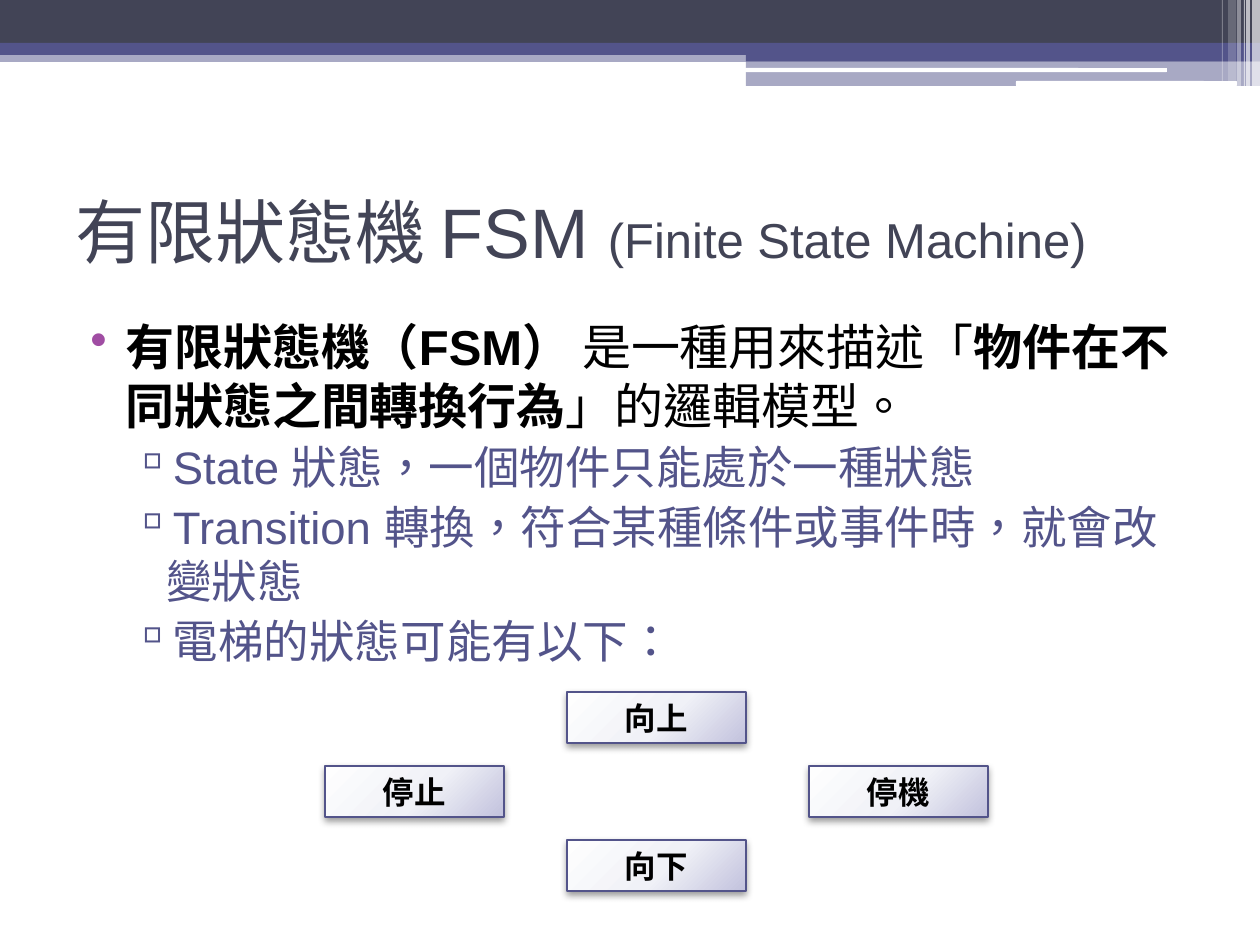
import pptx
import pptx.util
import pptx.dml.color
import pptx.enum.lang
import pptx.enum.shapes
import pptx.enum.text
import pptx.oxml
import pptx.oxml.ns

COLORS = {"white": "FFFFFF", "slate": "424456", "indigo": "53548A",
          "purple": "A04DA3", "black": "000000"}

# left, top, width, height, colour, opacity in percent
BARS = [
    (0, 50, 1260, 12, "indigo", 50),
    (0, 0, 1260, 43, "slate", 100),
    (0, 43, 1260, 12, "indigo", 100),
    (746, 49, 514, 12, "indigo", 100),
    (746, 61, 514, 25, "indigo", 50),
]
PILLS = [(745, 68, 422, 4, "white", 100), (1016, 81, 221, 5, "white", 100)]
# left, width, height, opacity in percent
STRIPES = [(1252, 8, 86, 65), (1246, 4, 86, 65), (1244, 1, 86, 60),
           (1237, 4, 86, 40), (1228, 8, 81, 20), (1222, 1, 81, 30)]

TITLE = [("有限狀態機 FSM ", {"size": 40}), ("(Finite State Machine)", {"size": 28})]
BODY = [
    (0, [("有限狀態機（FSM）", True), (" 是一種用來描述「", False),
         ("物件在不同狀態之間轉換行為", True), ("」的邏輯模型。", False)]),
    (1, [("State 狀態，一個物件只能處於一種狀態", False)]),
    (1, [("Transition 轉換，符合某種條件或事件時，就會改變狀態", False)]),
    (1, [("電梯的狀態可能有以下：", False)]),
]
LEVELS = [
    {"indent": 50, "hang": 35, "bullet": "•", "bullet_color": "purple",
     "size": 28, "color": "black"},
    {"indent": 91, "hang": 34, "bullet": "▫", "bullet_color": "indigo",
     "size": 26, "color": "indigo"},
]
# label, column, row
STATES = [("停止", 0, 1), ("向上", 1, 0), ("向下", 1, 2), ("停機", 2, 1)]
STATE_LEFT, STATE_TOP, STATE_WIDTH, STATE_HEIGHT = 325, 692, 179, 51
COLUMN_STEP, ROW_STEP = 242, 74
STATE_STOPS = [(0, "FEFEFE"), (55, "F0F1F7"), (100, "C2C2DD")]


def px(value):
    return pptx.util.Emu(round(value * 914400 / 126))


def rgb(name):
    return pptx.dml.color.RGBColor.from_string(COLORS[name])


def xml(markup):
    """Parse a drawing element, declaring its namespace after the tag name."""
    tag, rest = markup.split(" ", 1)
    return pptx.oxml.parse_xml(f"{tag} {pptx.oxml.ns.nsdecls('a')} {rest}")


def add_block(page, kind, left, top, width, height, color, opacity=100):
    block = page.shapes.add_shape(kind, px(left), px(top), px(width), px(height))
    block.shadow.inherit = False
    block.line.fill.background()
    block.fill.solid()
    block.fill.fore_color.rgb = rgb(color)
    if opacity < 100:
        value = block.fill._xPr.find(".//" + pptx.oxml.ns.qn("a:srgbClr"))
        value.append(xml(f'<a:alpha val="{opacity * 1000}"/>'))
    return block


def add_span(para, text, color, **formats):
    span = para.add_run()
    span.text = text
    span.font.color.rgb = rgb(color)
    formats["size"] = pptx.util.Pt(formats["size"])
    formats["name"] = "Arial"
    formats["language_id"] = pptx.enum.lang.MSO_LANGUAGE_ID.TRADITIONAL_CHINESE
    for name, value in formats.items():
        setattr(span.font, name, value)


def set_frame(frame, anchor):
    formats = {"word_wrap": True, "vertical_anchor": anchor,
               "auto_size": pptx.enum.text.MSO_AUTO_SIZE.NONE}
    for name, value in formats.items():
        setattr(frame, name, value)


def add_decoration(page):
    kinds = pptx.enum.shapes.MSO_SHAPE
    for bar in BARS:
        add_block(page, kinds.RECTANGLE, *bar)
    for pill in PILLS:
        add_block(page, kinds.ROUNDED_RECTANGLE, *pill)
    for left, width, height, opacity in STRIPES:
        add_block(page, kinds.RECTANGLE, left, 0, width, height, "white", opacity)


def fill_title(page):
    title = page.shapes.title
    place = {"left": 63, "top": 157, "width": 1134, "height": 148}
    for name, value in place.items():
        setattr(title, name, px(value))
    set_frame(title.text_frame, pptx.enum.text.MSO_ANCHOR.MIDDLE)
    para = title.text_frame.paragraphs[0]
    para.alignment = pptx.enum.text.PP_ALIGN.LEFT
    for text, formats in TITLE:
        add_span(para, text, "slate", **formats)


def add_body(page):
    box = page.shapes.add_textbox(px(63), px(310), px(1134), px(596))
    set_frame(box.text_frame, pptx.enum.text.MSO_ANCHOR.TOP)
    for index, (depth, spans) in enumerate(BODY):
        level = LEVELS[depth]
        para = box.text_frame.add_paragraph() if index else box.text_frame.paragraphs[0]
        para.level = depth
        if index:
            para.space_before = pptx.util.Pt(3)
        properties = para._p.get_or_add_pPr()
        properties.set("marL", str(px(level["indent"])))
        properties.set("indent", str(px(-level["hang"])))
        color = COLORS[level["bullet_color"]]
        properties.append(xml(f'<a:buClr ><a:srgbClr val="{color}"/></a:buClr>'))
        properties.append(xml(f'<a:buChar char="{level["bullet"]}"/>'))
        for text, bold in spans:
            add_span(para, text, level["color"], size=level["size"], bold=bold)


def add_state(page, label, column, row):
    box = add_block(page, pptx.enum.shapes.MSO_SHAPE.RECTANGLE,
                    STATE_LEFT + column * COLUMN_STEP, STATE_TOP + row * ROW_STEP,
                    STATE_WIDTH, STATE_HEIGHT, "white")
    stops = "".join(f'<a:gs pos="{position * 1000}"><a:srgbClr val="{color}"/></a:gs>'
                    for position, color in STATE_STOPS)
    gradient = xml(
        f'<a:gradFill rotWithShape="1"><a:gsLst>{stops}</a:gsLst><a:path path="circle">'
        '<a:fillToRect l="-40000" t="-90000" r="140000" b="190000"/></a:path></a:gradFill>')
    properties = box._element.spPr
    properties.replace(properties.find(pptx.oxml.ns.qn("a:solidFill")), gradient)
    box.line.color.rgb = rgb("indigo")
    box.line.width = pptx.util.Pt(0.75)
    properties.find(pptx.oxml.ns.qn("a:effectLst")).append(xml(
        '<a:outerShdw blurRad="52070" dist="25400" dir="5400000" rotWithShape="0">'
        f'<a:srgbClr val="{COLORS["black"]}"><a:alpha val="40000"/></a:srgbClr>'
        '</a:outerShdw>'))
    set_frame(box.text_frame, pptx.enum.text.MSO_ANCHOR.MIDDLE)
    para = box.text_frame.paragraphs[0]
    para.alignment = pptx.enum.text.PP_ALIGN.CENTER
    add_span(para, label, "black", size=18, bold=True)


def main():
    deck = pptx.Presentation()
    deck.slide_width, deck.slide_height = px(1260), px(945)
    page = deck.slides.add_slide(deck.slide_layouts.get_by_name("Title Only"))
    add_decoration(page)
    fill_title(page)
    add_body(page)
    for state in STATES:
        add_state(page, *state)
    deck.save("out.pptx")


if __name__ == "__main__":
    main()
